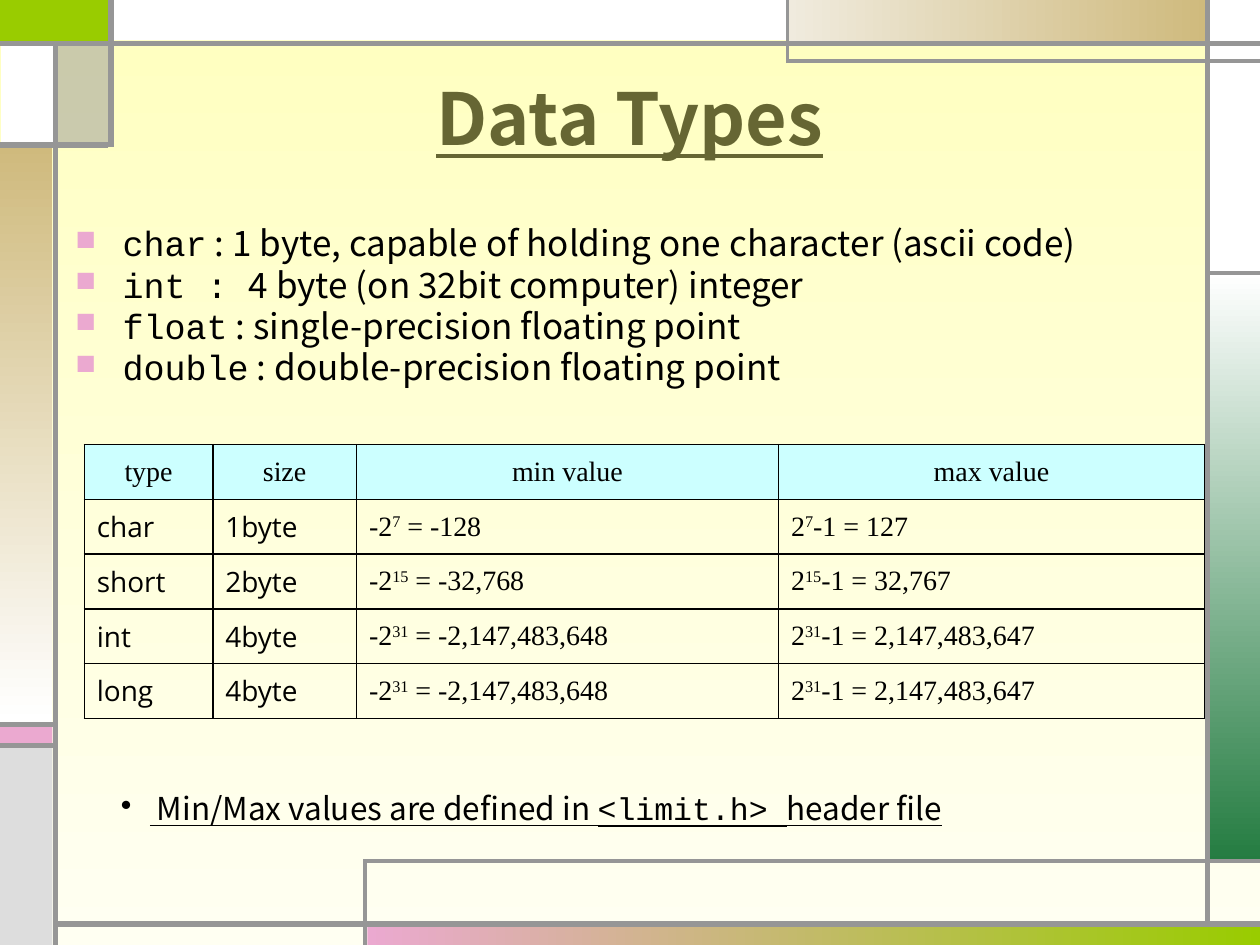
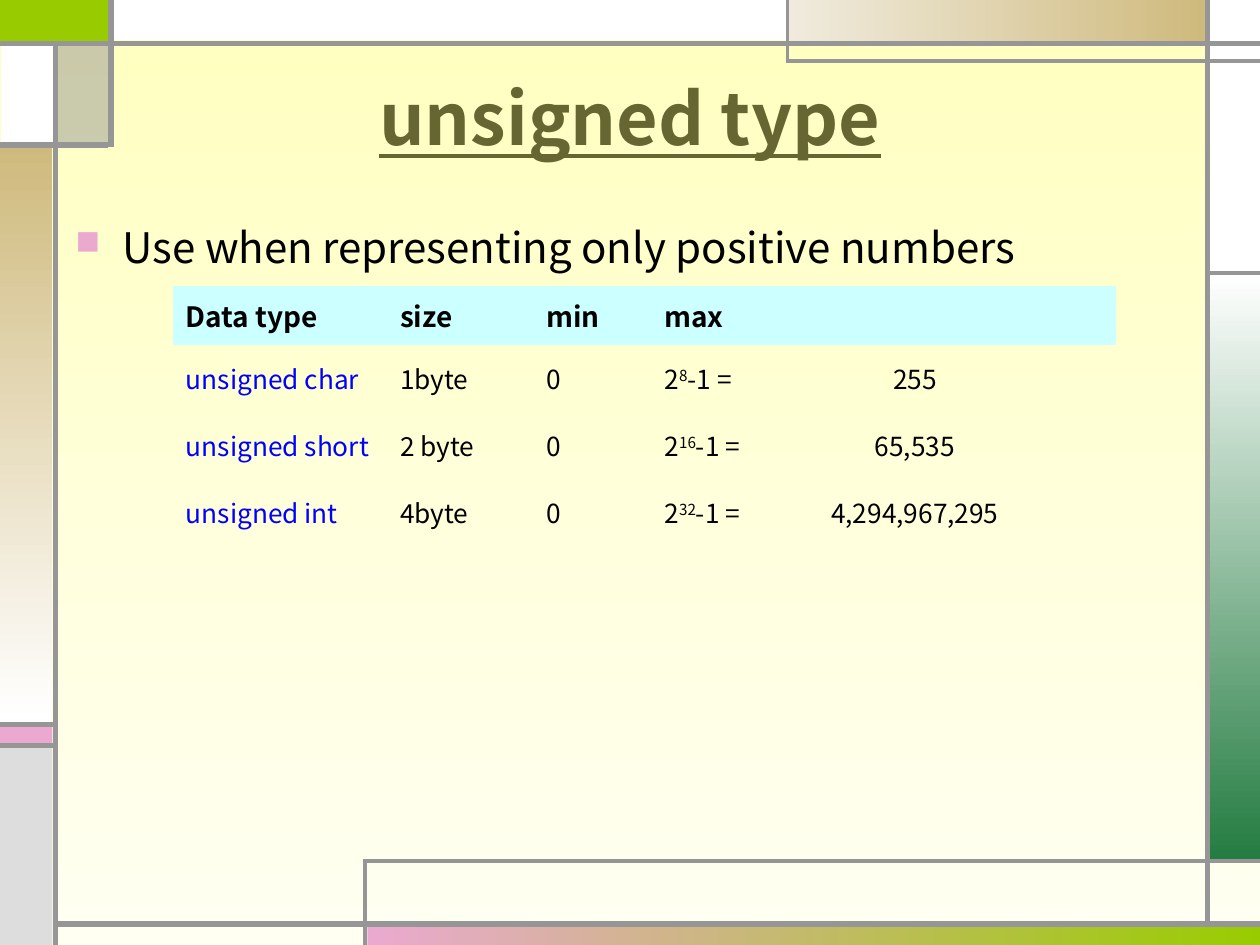
from lxml.etree import SubElement as Sub
from pptx import Presentation
from pptx.dml.color import RGBColor
from pptx.enum.shapes import MSO_CONNECTOR as Link, MSO_SHAPE as Form
from pptx.enum.text import MSO_ANCHOR as Anchor, PP_ALIGN as Align
from pptx.oxml.ns import qn
from pptx.util import Pt

tint = RGBColor.from_string
SANS, MONO, SERIF, OPEN = "Noto Sans CJK KR", "Courier New", "Times New Roman", "Open Sans"
BLACK, GREY, PINK, LIME, SAND = "000000", "969696", "EBA9D0", "99CC00", "CFBA7D"
WHITE, OLIVE, BLUE, AQUA = "FFFFFF", "666633", "0000FF", "CCFFFF"
PLAIN = "{2D5ABB26-0587-4C30-8999-92F81FD0307C}"  # table style without grid


def blend(fill, first, last, angle):
    """Fill with a two-colour gradient; angle runs counter-clockwise."""
    fill.gradient()
    fill.gradient_angle = angle
    for stop, hue in zip(fill.gradient_stops, (first, last)):
        stop.color.rgb = tint(hue)


def write(par, text, font, size, hue=BLACK, bold=False, line=False):
    """Add runs to a paragraph; text between carets is superscript."""
    for i, part in enumerate(text.split("^")):
        run = par.add_run()
        run.text = part
        face = run.font
        face.name, face.size, face.bold, face.underline = font, Pt(size), bold, line
        face.color.rgb = tint(hue)
        if i % 2:
            run._r.get_or_add_rPr().set("baseline", "30000")


# Frame: left, top, width, height, colours, and angle for gradients
bands = [
    (0, 0, 62.6, 24.5, [LIME], 0),
    (210, 528, 510, 12, [PINK, LIME], 0),
    (690, 156, 30, 336, [WHITE, "247C41"], 270),
    (0, 414, 30, 12, [PINK], 0),
    (0, 427, 30, 113, ["DDDDDD"], 0),
    (690, 0, 30, 156, [WHITE], 0),
    (450, 0, 240, 24, ["F0EBDE", SAND], 0),
    (33, 24, 30, 59, [GREY], 0),
    (0, 83, 30, 330, [SAND, WHITE], 270),
    (0.7, 24, 30, 59, [WHITE], 0),
    (62, 0, 388, 23, [WHITE], 0),
]
# Rules by weight: from x, y to x, y
rules = {
    3: [(31.7, 540, 31.7, 24), (31.7, 528, 720, 528), (690, 528, 690, 0),
        (0, 25, 720, 25), (63.4, 0, 63.4, 84), (62, 82.8, 0, 82.8),
        (33, 414, 0, 414), (33, 426, 0, 426)],
    2.25: [(720, 34.8, 450, 34.8), (450, 36, 450, 0), (690, 156, 720, 156),
           (208.8, 540, 208.8, 491), (208, 491.8, 720, 491.8)],
}

# Text blocks: box, bullet, its colour and size, indent, text size, underline, paragraphs
body = (36, 126, 648, 356)
square = ("■", PINK, 80, 27)
types = [
    [("char", MONO), (" : 1 byte, capable of holding one character (ascii code)", SANS)],
    [("int : ", MONO), ("4 byte (on 32bit computer) integer", SANS)],
    [("float", MONO), (" : single-precision floating point", SANS)],
    [("double", MONO), (" : double-precision floating point", SANS)],
]
note = [[(" Min/Max values are defined in ", SANS), ("<limit.h> ", MONO), ("header file", SANS)]]
use = [[("Use when representing only positive numbers", SANS)]]

# Table rows: bits give the limits
signed = [["type", "size", "min value", "max value"]]
for name, size, bits in [("char", 1, 7), ("short", 2, 15), ("int", 4, 31), ("long", 4, 31)]:
    signed.append([name, f"{size}byte", f"-2^{bits}^ = -{2 ** bits:,}",
                   f"2^{bits}^-1 = {2 ** bits - 1:,}"])
plus = [["Data type", "size", "min", "max"]]
for name, size, bits in [("char", "1byte", 8), ("short", "2 byte", 16), ("int", "4byte", 32)]:
    plus.append([f"unsigned {name}", size, "0", f"2^{bits}^-1 =\t{2 ** bits - 1:,}"])

# Table: left, top, widths, head height, row height, grid, rows,
# head (font, size, colour, bold), then the same for each column
slides = [
    ("Data Types",
     [(body, square, 20, False, types),
      ((62, 450, 500, 29), ("•", BLACK, 100, 16.5), 18, True, note)],
     (48.2, 254, [73.4, 82.1, 241.2, 243.4], 31.3, 31.3, True, signed,
      (SERIF, 16, BLACK, False), [(OPEN, 16)] * 2 + [(SERIF, 16)] * 2)),
    ("unsigned type",
     [(body, square, 24, False, use)],
     (99, 163.2, [122.4, 83.5, 67.7, 265], 33.8, 38.2, False, plus,
      (SANS, 16, BLACK, True), [(SANS, 15, BLUE)] + [(SANS, 15)] * 3)),
]

deck = Presentation()
deck.slide_width, deck.slide_height = Pt(720), Pt(540)

for title, blocks, grid in slides:
    slide = deck.slides.add_slide(deck.slide_layouts[6])
    blend(slide.background.fill, "FFFFBF", "FFFFF2", 270)

    for *box, hues, angle in bands:
        band = slide.shapes.add_shape(Form.RECTANGLE, *map(Pt, box))
        band.shadow.inherit = False
        band.line.fill.background()
        if len(hues) == 2:
            blend(band.fill, *hues, angle)
            continue
        band.fill.solid()
        band.fill.fore_color.rgb = tint(hues[0])
        if hues[0] == GREY:
            shade = band._element.spPr.find(".//" + qn("a:srgbClr"))
            Sub(shade, qn("a:alpha"), val="50000")

    for weight, ends in rules.items():
        for end in ends:
            rule = slide.shapes.add_connector(Link.STRAIGHT, *map(Pt, end))
            rule.line.width = Pt(weight)
            rule.line.color.rgb = tint(GREY)
            Sub(rule._element.spPr, qn("a:effectLst"))

    head = slide.shapes.add_textbox(Pt(36), Pt(21.6), Pt(648), Pt(90)).text_frame
    head.word_wrap = True
    head.vertical_anchor = Anchor.MIDDLE
    head.paragraphs[0].alignment = Align.CENTER
    write(head.paragraphs[0], title, SANS, 41, OLIVE, True, True)

    for box, (mark, hue, scale, indent), size, line, pars in blocks:
        frame = slide.shapes.add_textbox(*map(Pt, box)).text_frame
        frame.word_wrap = True
        for i, parts in enumerate(pars):
            par = frame.add_paragraph() if i else frame.paragraphs[0]
            par.line_spacing = 0.9
            par.space_before = Pt(2 if i else 0)
            prop = par._p.get_or_add_pPr()
            prop.set("marL", str(Pt(indent)))
            prop.set("indent", str(-Pt(indent)))
            Sub(Sub(prop, qn("a:buClr")), qn("a:srgbClr"), val=hue)
            Sub(prop, qn("a:buSzPct"), val=str(scale * 1000))
            Sub(prop, qn("a:buChar"), char=mark)
            for text, font in parts:
                write(par, text, font, size, line=line)

    left, top, widths, first, step, ruled, rows, lead, looks = grid
    high = first + step * (len(rows) - 1)
    table = slide.shapes.add_table(len(rows), len(widths), Pt(left), Pt(top),
                                   Pt(sum(widths)), Pt(high)).table
    table.horz_banding = table.first_row = False
    table._tbl.tblPr.find(qn("a:tableStyleId")).text = PLAIN
    for col, width in zip(table.columns, widths):
        col.width = Pt(width)
    for r, row in enumerate(rows):
        table.rows[r].height = Pt(step if r else first)
        for c, text in enumerate(row):
            cell = table.cell(r, c)
            cell.vertical_anchor = Anchor.MIDDLE
            if ruled:
                for side in ("lnL", "lnR", "lnT", "lnB"):
                    edge = Sub(cell._tc.get_or_add_tcPr(), qn("a:" + side), w=str(Pt(1)))
                    Sub(Sub(edge, qn("a:solidFill")), qn("a:srgbClr"), val=BLACK)
            if r:
                cell.fill.background()
            else:
                cell.fill.solid()
                cell.fill.fore_color.rgb = tint(AQUA)
            par = cell.text_frame.paragraphs[0]
            par.alignment = Align.CENTER if ruled and not r else Align.JUSTIFY
            if "\t" in text:
                tabs = Sub(par._p.get_or_add_pPr(), qn("a:tabLst"))
                Sub(tabs, qn("a:tab"), pos=str(Pt(143)), algn="ctr")
            write(par, text, *(looks[c] if r else lead))

deck.save("out.pptx")
